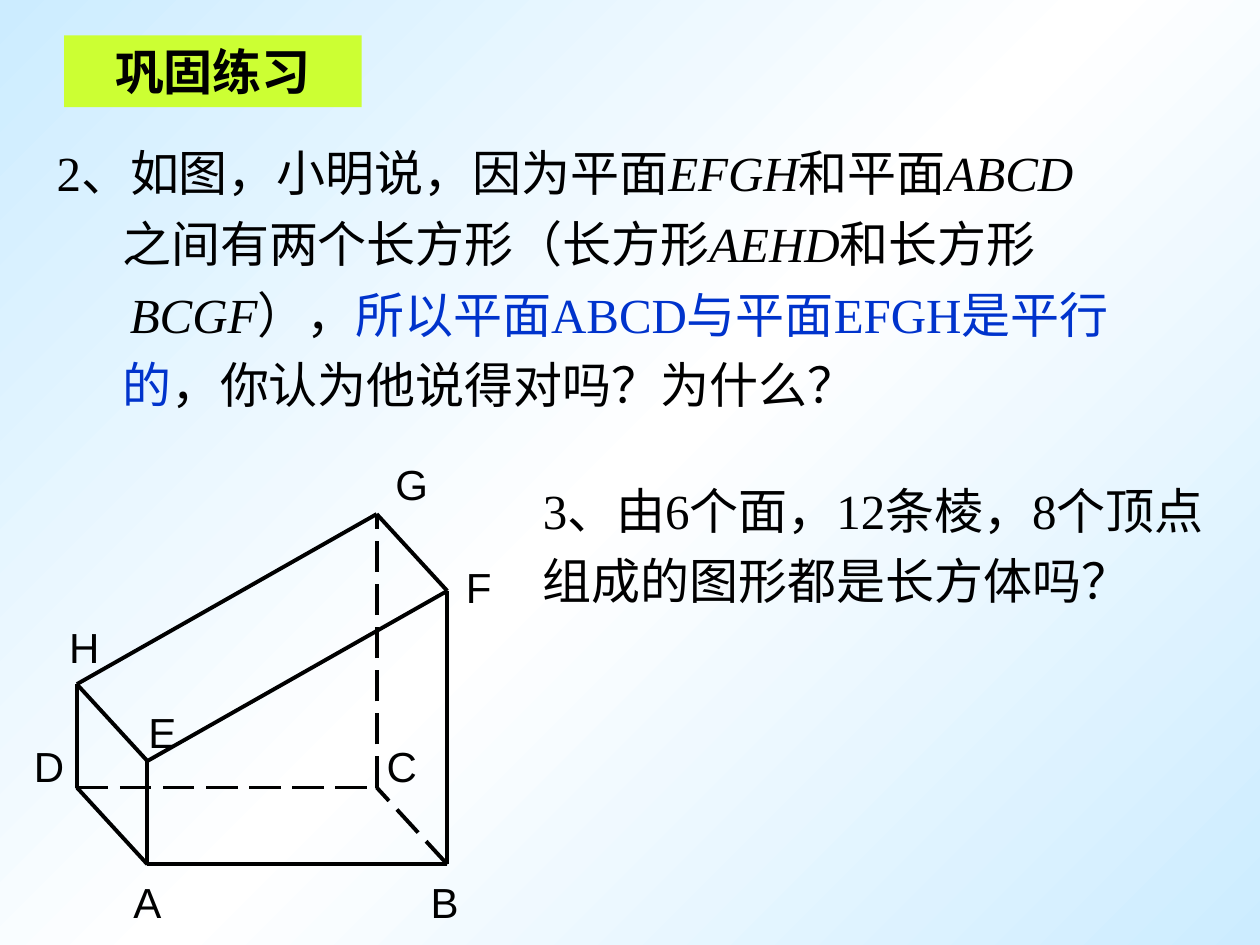
from pptx import Presentation
from pptx.util import Inches, Pt
from pptx.dml.color import RGBColor
from pptx.enum.dml import MSO_LINE
from pptx.enum.shapes import MSO_CONNECTOR
from pptx.enum.text import MSO_ANCHOR, MSO_AUTO_SIZE, PP_ALIGN
from pptx.oxml.ns import qn
from copy import deepcopy
from lxml import etree

LONG_DASH = MSO_LINE.LONG_DASH
STRAIGHT = MSO_CONNECTOR.STRAIGHT
TOP, MIDDLE = MSO_ANCHOR.TOP, MSO_ANCHOR.MIDDLE
FIXED = MSO_AUTO_SIZE.NONE
LEFT, CENTER = PP_ALIGN.LEFT, PP_ALIGN.CENTER
BLACK, BLUE, LIME, SKY, WHITE = "000000", "0033CC", "CCFF33", "CCECFF", "FFFFFF"
SERIF, SANS = "Times New Roman", "Arial"
ITALIC, ACCENT = {"italic": True}, {"color": BLUE}


def rgb(value):
    return RGBColor.from_string(value)


class SlideBuilder:
    text_format = {"name": SERIF, "size": Pt(28), "bold": False, "italic": False}

    def __init__(self, slide):
        self.s = slide

    def background(self, stops, angle):
        fill = self.s.background.fill
        fill.gradient()
        fill.gradient_angle = angle
        gs_list = next(self.s.element.iter(qn("a:gsLst")))
        gs_list.append(deepcopy(gs_list[0]))
        for stop, (position, color) in zip(fill.gradient_stops, stops):
            stop.position = position
            stop.color.rgb = rgb(color)

    def place(self, sp, box):
        for name, value in zip(("left", "top", "width", "height"), box):
            setattr(sp, name, Inches(value))

    def frame(self, sp, anchor=TOP, wrap=True):
        tf = sp.text_frame
        values = {"auto_size": FIXED, "word_wrap": wrap, "vertical_anchor": anchor}
        for name, value in values.items():
            setattr(tf, name, value)
        return tf

    def paragraph(self, p, runs, spacing=1.0, align=LEFT, **changes):
        values = {"alignment": align, "line_spacing": spacing, "space_before": Pt(0)}
        for name, value in values.items():
            setattr(p, name, value)
        for text, extra in runs:
            r = p.add_run()
            r.text = text
            font = {**self.text_format, **changes, **extra}
            r.font.color.rgb = rgb(font.pop("color", BLACK))
            for name, value in font.items():
                setattr(r.font, name, value)

    def title(self, text, box, fill):
        sp = self.s.shapes.title
        self.place(sp, box)
        sp.fill.solid()
        sp.fill.fore_color.rgb = rgb(fill)
        tf = self.frame(sp, MIDDLE)
        self.paragraph(tf.paragraphs[0], [(text, {})], align=CENTER, bold=True)

    def body(self, lines, box):
        sp = self.s.placeholders[1]
        self.place(sp, box)
        tf = self.frame(sp)
        for i, (indent, runs) in enumerate(lines):
            p = tf.add_paragraph() if i else tf.paragraphs[0]
            self.paragraph(p, runs, spacing=1.2)
            pPr = p._p.get_or_add_pPr()
            pPr.set("marL", str(Inches(indent)))
            pPr.set("indent", "0")
            etree.SubElement(pPr, qn("a:buNone"))

    def text(self, text, box, wrap=True, spacing=1.0, **changes):
        sp = self.s.shapes.add_textbox(*map(Inches, box))
        tf = self.frame(sp, wrap=wrap)
        self.paragraph(tf.paragraphs[0], [(text, {})], spacing, **changes)

    def line(self, start, end, dash=None):
        cx = self.s.shapes.add_connector(STRAIGHT, *map(Inches, (*start, *end)))
        cx.line.color.rgb = rgb(BLACK)
        cx.line.width = Pt(2.25)
        if dash:
            cx.line.dash_style = dash
        etree.SubElement(cx._element.spPr, qn("a:effectLst"))


VERTICES = {
    "A": (1.17, 6.86), "B": (3.55, 6.86), "C": (2.99, 6.25), "D": (0.61, 6.25),
    "E": (1.17, 6.04), "F": (3.55, 4.69), "G": (2.99, 4.08), "H": (0.61, 5.43),
}
SOLID_EDGES = "AE EF FB BA AD DH HE HG GF".split()
HIDDEN_EDGES = "DC BC CG".split()
LABELS = {
    "A": (0.96, 6.91, 0.44), "B": (3.32, 6.91, 0.42),
    "C": (2.97, 5.83, 0.44), "D": (0.17, 5.83, 0.44),
    "E": (1.08, 5.56, 0.42), "F": (3.6, 4.41, 0.4),
    "G": (3.04, 3.59, 0.46), "H": (0.45, 4.88, 0.44),
}
QUESTION = [
    (0, [("2、如图，小明说，因为平面", {}), ("EFGH", ITALIC),
         ("和平面", {}), ("ABCD", ITALIC)]),
    (0.52, [("之间有两个长方形（长方形", {}), ("AEHD", ITALIC), ("和长方形", {})]),
    (0.58, [("BCGF", ITALIC), ("），", {}),
            ("所以平面ABCD与平面EFGH是平行", ACCENT)]),
    (0.52, [("的", ACCENT), ("，你认为他说得对吗？为什么？", {})]),
]


def main():
    prs = Presentation()
    prs.slide_width, prs.slide_height = Inches(10), Inches(7.5)
    b = SlideBuilder(prs.slides.add_slide(prs.slide_layouts[1]))
    b.background([(0, SKY), (0.5, WHITE), (1, SKY)], 315)
    b.title("巩固练习", (0.51, 0.28, 2.36, 0.57), LIME)
    b.body(QUESTION, (0.35, 0.99, 9.49, 2.34))
    for edges, dash in ((HIDDEN_EDGES, LONG_DASH), (SOLID_EDGES, None)):
        for start, end in edges:
            b.line(VERTICES[start], VERTICES[end], dash)
    for name, (x, y, width) in LABELS.items():
        b.text(name, (x, y, width, 0.5), wrap=False, name=SANS, size=Pt(24))
    b.text("3、由6个面，12条棱，8个顶点组成的图形都是长方体吗？",
           (4.21, 3.67, 5.59, 1.22), spacing=1.2)
    prs.save("out.pptx")


if __name__ == "__main__":
    main()
